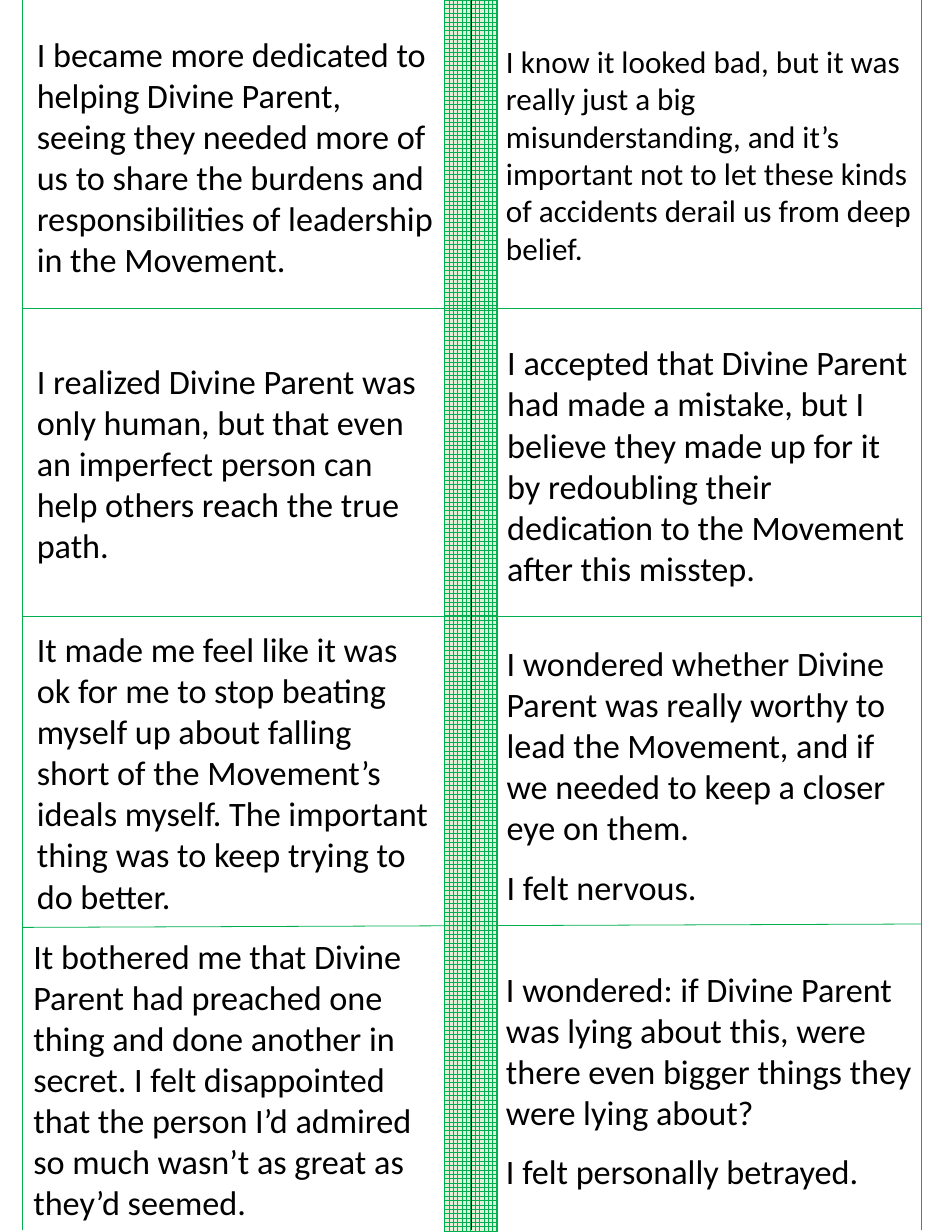
from dataclasses import dataclass
from pptx import Presentation
from pptx.dml.color import RGBColor as RGB
from pptx.enum.dml import MSO_PATTERN as Pattern
from pptx.enum.shapes import MSO_CONNECTOR as Link, MSO_SHAPE as Shape
from pptx.enum.text import MSO_ANCHOR as Anchor
from pptx.oxml.ns import qn
from pptx.util import Pt
from lxml.etree import SubElement


@dataclass(frozen=True)
class Theme:
    font: str = "Calibri"
    green: RGB = RGB(0x00, 0xB0, 0x50)
    pale: RGB = RGB(0xE2, 0xF0, 0xD9)
    black: RGB = RGB(0, 0, 0)
    body: float = 22
    small: float = 20
    gap: float = 12
    hair: float = 0.5
    edge: float = 1


class Page:
    def __init__(self, slide, theme):
        self.slide, self.theme = slide, theme

    def strip(self, x, y, w, h):
        """Draw the grid-patterned band between the columns."""
        box = self.slide.shapes.add_shape(Shape.RECTANGLE, Pt(x), Pt(y), Pt(w), Pt(h))
        box.shadow.inherit = False
        box.fill.patterned()
        box.fill.pattern = Pattern.LARGE_GRID
        box.fill.fore_color.rgb = self.theme.green
        box.fill.back_color.rgb = self.theme.pale
        box.line.color.rgb = self.theme.green
        box.line.width = Pt(self.theme.edge)

    def rule(self, x1, y1, x2, y2, color):
        line = self.slide.shapes.add_connector(
            Link.STRAIGHT, Pt(x1), Pt(y1), Pt(x2), Pt(y2))
        line.line.color.rgb = color
        line.line.width = Pt(self.theme.hair)
        SubElement(line._element.spPr, qn("a:effectLst"))

    def card(self, x, y, w, h, size, *paras):
        frame = self.slide.shapes.add_textbox(Pt(x), Pt(y), Pt(w), Pt(h)).text_frame
        frame.word_wrap = True
        frame.vertical_anchor = Anchor.MIDDLE
        for i, text in enumerate(paras):
            para = frame.add_paragraph() if i else frame.paragraphs[0]
            if i:
                para.space_before = Pt(self.theme.gap)
            run = para.add_run()
            run.text = text
            run.font.name = self.theme.font
            run.font.size = Pt(size)
            run.font.color.rgb = self.theme.black


WIDE, HIGH = 612, 792
LEFT, RIGHT, MID = 14.4, 592.6, 303.1
ROW = HIGH / 4


def main():
    deck = Presentation()
    deck.slide_width, deck.slide_height = Pt(WIDE), Pt(HIGH)
    theme = Theme()
    page = Page(deck.slides.add_slide(deck.slide_layouts[6]), theme)

    page.strip(285.8, 0, 33.8, HIGH)
    for start, end in ((ROW, ROW), (2 * ROW, 2 * ROW), (596.2, 594)):
        page.rule(LEFT, start, RIGHT, end, theme.green)
    for x, color in ((LEFT, theme.green), (RIGHT, theme.green), (MID, theme.black)):
        page.rule(x, 0, x, HIGH - 1, color)

    body, small = theme.body, theme.small
    cards = (
        (16.6, 5, 270.7, 190.8, body,
         "I became more dedicated to helping Divine Parent, seeing they needed "
         "more of us to share the burdens and responsibilities of leadership in "
         "the Movement."),
        (318.2, 1.4, 276.5, 195.8, small,
         "I know it looked bad, but it was really just a big misunderstanding, "
         "and it’s important not to let these kinds of accidents derail us from "
         "deep belief."),
        (16.6, 200.2, 271.4, 195.1, body,
         "I realized Divine Parent was only human, but that even an imperfect "
         "person can help others reach the true path."),
        (319, 202.3, 276.5, 193, body,
         "I accepted that Divine Parent had made a mistake, but I believe they "
         "made up for it by redoubling their dedication to the Movement after "
         "this misstep."),
        (16.6, 400.3, 267.1, 192.2, body,
         "It made me feel like it was ok for me to stop beating myself up about "
         "falling short of the Movement’s ideals myself. The important thing was "
         "to keep trying to do better."),
        (318.6, 400.3, 276.5, 195.1, body,
         "I wondered whether Divine Parent was really worthy to lead the "
         "Movement, and if we needed to keep a closer eye on them.",
         "I felt nervous."),
        (14.4, 596.9, 273.6, 193, body,
         "It bothered me that Divine Parent had preached one thing and done "
         "another in secret. I felt disappointed that the person I’d admired so "
         "much wasn’t as great as they’d seemed."),
        (318.2, 599.8, 279.4, 188.6, body,
         "I wondered: if Divine Parent was lying about this, were there even "
         "bigger things they were lying about?",
         "I felt personally betrayed."),
    )
    for card in cards:
        page.card(*card)

    deck.save("out.pptx")


if __name__ == "__main__":
    main()
